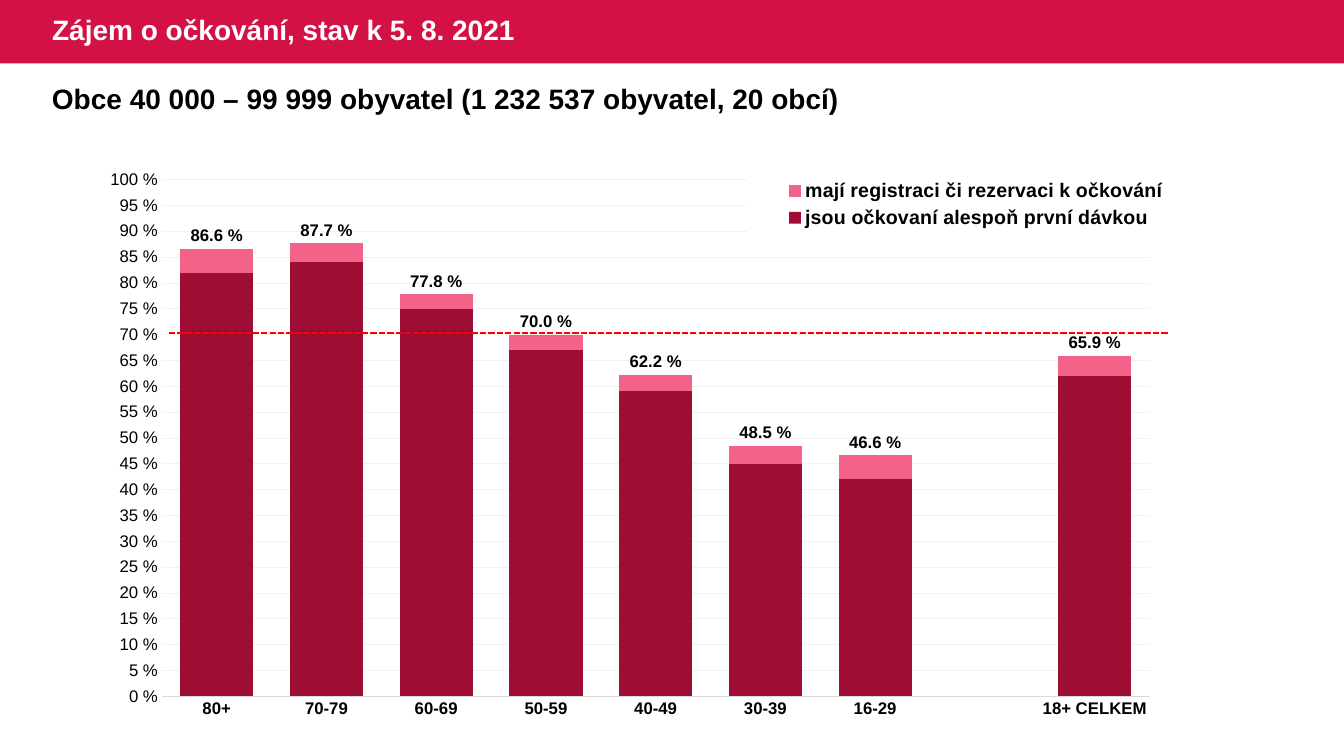
from lxml import etree
from pptx import Presentation
from pptx.chart.data import CategoryChartData
from pptx.dml.color import RGBColor
from pptx.enum.chart import XL_CHART_TYPE as ChartType, XL_LABEL_POSITION as LabelPos
from pptx.enum.chart import XL_LEGEND_POSITION as LegendPos, XL_TICK_MARK as TickMark
from pptx.enum.dml import MSO_LINE
from pptx.enum.shapes import MSO_CONNECTOR, MSO_SHAPE
from pptx.enum.text import MSO_ANCHOR, MSO_AUTO_SIZE, PP_ALIGN
from pptx.oxml import parse_xml
from pptx.oxml.ns import nsdecls, qn
from pptx.util import Cm, Pt

AGES = ["80+", "70-79", "60-69", "50-59", "40-49", "30-39", "16-29", "", "18+ CELKEM"]
SERIES = [
    ("mají registraci či rezervaci k očkování", "F26289",
     [86.6, 87.7, 77.8, 70, 62.2, 48.5, 46.6, None, 65.9]),
    ("jsou očkovaní alespoň první dávkou", "9E0D34",
     [82, 84, 75, 67, 59, 45, 42, None, 62]),
]


def rgb(value):
    """Turn a hex string into a colour."""
    return RGBColor.from_string(value)


def style_font(font, size, color="000000", bold=False):
    """Apply the slide's typeface with a size, colour and weight."""
    font.name, font.size, font.bold = "Arial", Pt(size), bold
    font.color.rgb = rgb(color)


def style_line(line, color, width):
    """Give a line its colour and width."""
    line.color.rgb = rgb(color)
    line.width = Pt(width)


def set_layout(parent, index, x, y, w, h, inner=False):
    """Place a chart part by fractions of the chart area."""
    for old in parent.findall(qn("c:layout")):
        parent.remove(old)
    target = '<c:layoutTarget val="inner"/>' if inner else ""
    parent.insert(index, parse_xml(
        f'<c:layout {nsdecls("c")}><c:manualLayout>{target}'
        '<c:xMode val="edge"/><c:yMode val="edge"/>'
        f'<c:x val="{x}"/><c:y val="{y}"/><c:w val="{w}"/><c:h val="{h}"/>'
        '</c:manualLayout></c:layout>'))


def add_header(slide, left, top, width, height):
    """Draw the red band with the slide title on it."""
    band = slide.shapes.add_shape(MSO_SHAPE.RECTANGLE, left, top, width, height)
    band.shadow.inherit = False
    band.fill.solid()
    band.fill.fore_color.rgb = rgb("D31145")
    band.line.fill.background()
    title = slide.shapes.title
    band._element.getparent().insert(2, band._element)
    title.left, title.top = left + Cm(1.06), top
    title.width, title.height = Cm(15), height
    tf = title.text_frame
    tf.text = "Zájem o očkování, stav k 5. 8. 2021"
    tf.auto_size = MSO_AUTO_SIZE.NONE
    tf.vertical_anchor = MSO_ANCHOR.MIDDLE
    p = tf.paragraphs[0]
    p.alignment = PP_ALIGN.LEFT
    p.line_spacing = 0.9
    style_font(p.font, 20, "FFFFFF", True)


def add_subtitle(slide, left, top, width, height):
    """Write the group of municipalities below the band."""
    tf = slide.shapes.add_textbox(left, top, width, height).text_frame
    tf.word_wrap = True
    tf.text = "Obce 40 000 – 99 999 obyvatel (1 232 537 obyvatel, 20 obcí)"
    style_font(tf.paragraphs[0].font, 20, bold=True)


def style_axes(chart):
    """Format the age axis and the percentage axis."""
    ages, percent = chart.category_axis, chart.value_axis
    for axis in (ages, percent):
        axis.major_tick_mark = axis.minor_tick_mark = TickMark.NONE
        style_font(axis.tick_labels.font, 12, bold=axis is ages)
    style_line(ages.format.line, "D9D9D9", 0.75)
    percent.minimum_scale, percent.maximum_scale, percent.major_unit = 0, 100, 5
    percent.format.line.fill.background()
    style_line(percent.major_gridlines.format.line, "F2F2F2", 0.5)
    percent.tick_labels.number_format = '0" %"'
    percent.tick_labels.number_format_is_linked = False


def style_legend(chart):
    """Set the legend on white in the upper right of the plot."""
    chart.has_legend = True
    legend = chart.legend
    legend.position = LegendPos.TOP
    legend.include_in_layout = False
    style_font(legend.font, 14, bold=True)
    element = legend._element
    set_layout(element, 1, 0.571, 0.025, 0.412, 0.1)
    element.find(qn("c:txPr")).addprevious(parse_xml(
        f'<c:spPr {nsdecls("c", "a")}><a:solidFill><a:srgbClr val="FFFFFF"/>'
        '</a:solidFill><a:ln><a:noFill/></a:ln></c:spPr>'))


def add_interest_chart(slide, left, top, width, height):
    """Chart the interest by age, with the 70 % threshold line."""
    data = CategoryChartData()
    data.categories = AGES
    for name, _, values in SERIES:
        data.add_series(name, values)
    chart = slide.shapes.add_chart(
        ChartType.COLUMN_CLUSTERED, left, top, width, height, data).chart
    chart.has_title = False
    style_font(chart.font, 10)
    style_axes(chart)
    style_legend(chart)
    set_layout(chart._chartSpace.chart.plotArea, 0, 0.045, 0.032, 0.888, 0.895, True)
    plot = chart.plots[0]
    plot.gap_width, plot.overlap = 50, 100
    plot.vary_by_categories = False
    for series, (_, color, _) in zip(plot.series, SERIES):
        series.format.fill.solid()
        series.format.fill.fore_color.rgb = rgb(color)
        series.invert_if_negative = False
    labels = plot.series[0].data_labels
    labels.show_value = True
    labels.position = LabelPos.OUTSIDE_END
    labels.number_format = '0.0" %"'
    labels.number_format_is_linked = False
    style_font(labels.font, 12, bold=True)

    y = top + Cm(4.34)
    threshold = slide.shapes.add_connector(
        MSO_CONNECTOR.STRAIGHT, left + Cm(1.47), y, left + Cm(26.67), y)
    style_line(threshold.line, "FF0000", 1.5)
    threshold.line.dash_style = MSO_LINE.SQUARE_DOT
    etree.SubElement(threshold._element.spPr, qn("a:effectLst"))


def main():
    """Build the slide and save it."""
    prs = Presentation()
    prs.slide_width, prs.slide_height = Cm(33.87), Cm(19.05)
    slide = prs.slides.add_slide(prs.slide_layouts[5])
    add_header(slide, 0, 0, prs.slide_width, Cm(1.6))
    add_subtitle(slide, Cm(1.06), Cm(1.93), Cm(31.47), Cm(1.12))
    add_interest_chart(slide, Cm(2.78), Cm(4.06), Cm(28.07), Cm(14.55))
    prs.save("out.pptx")


if __name__ == "__main__":
    main()
